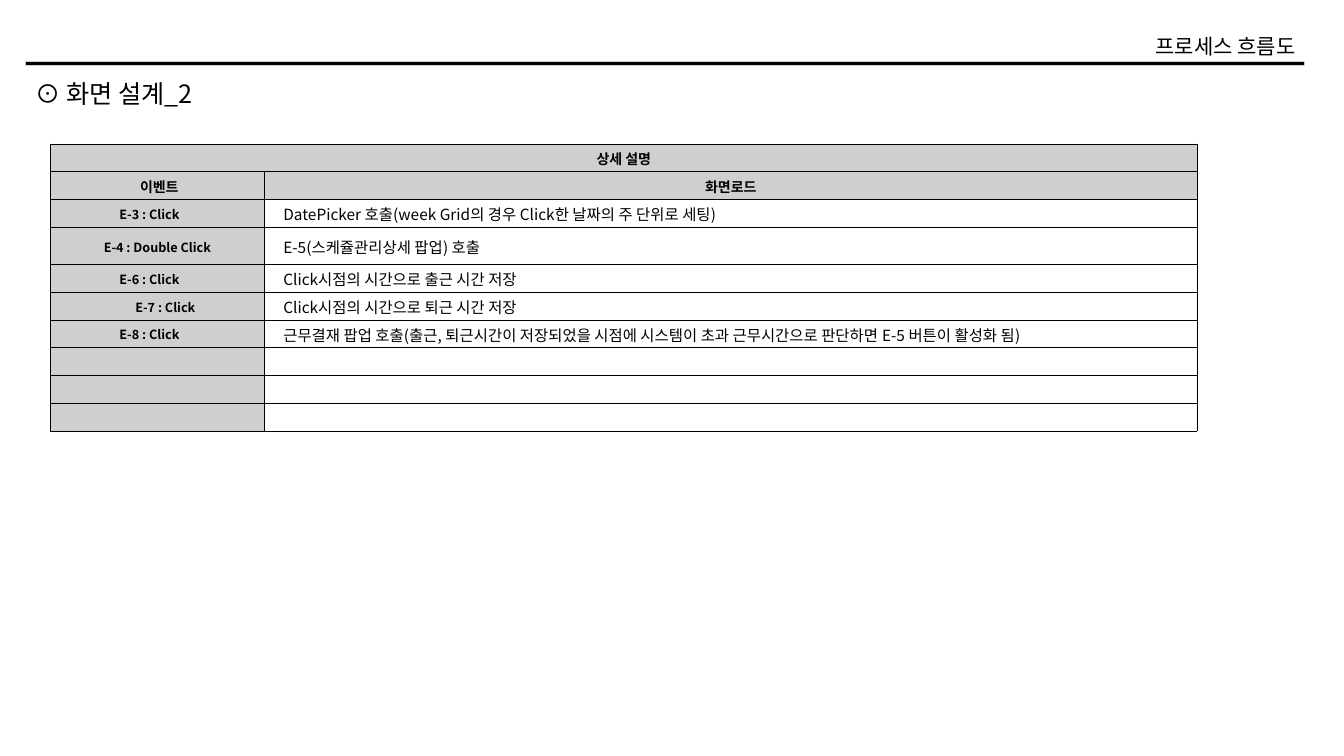
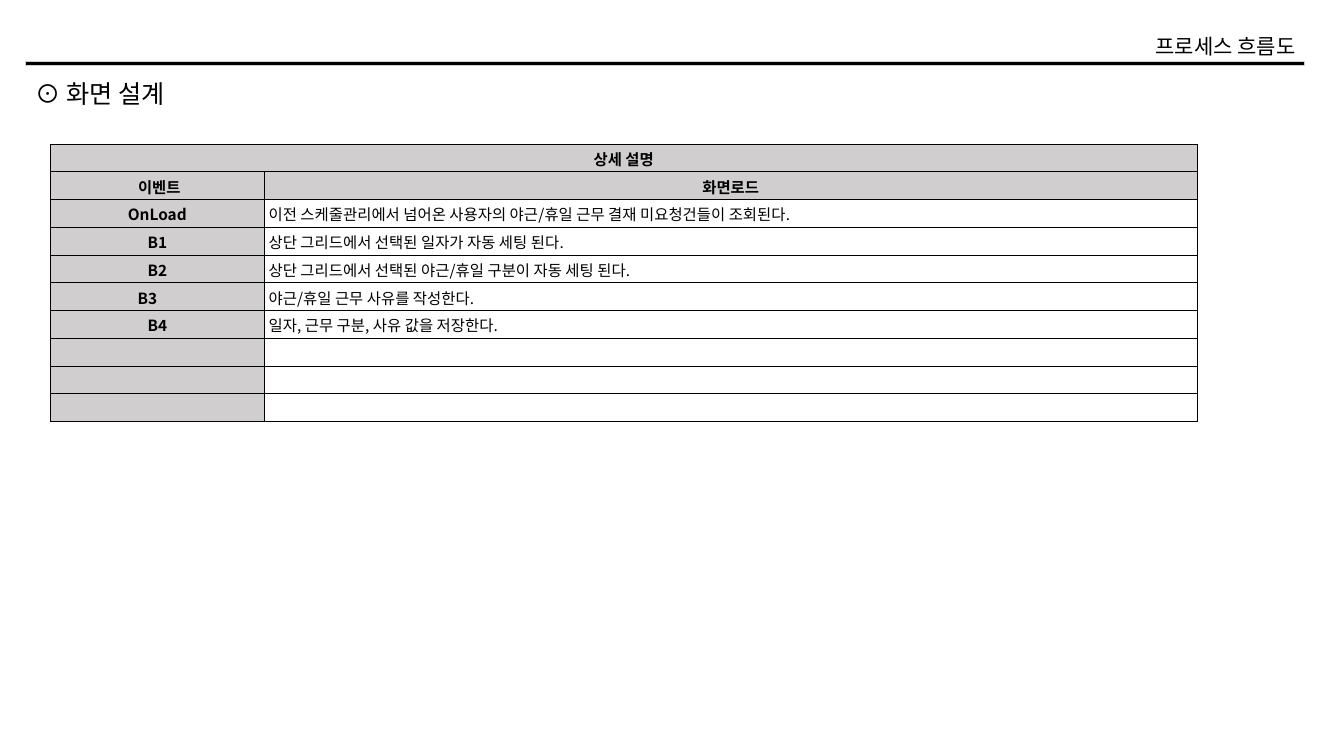
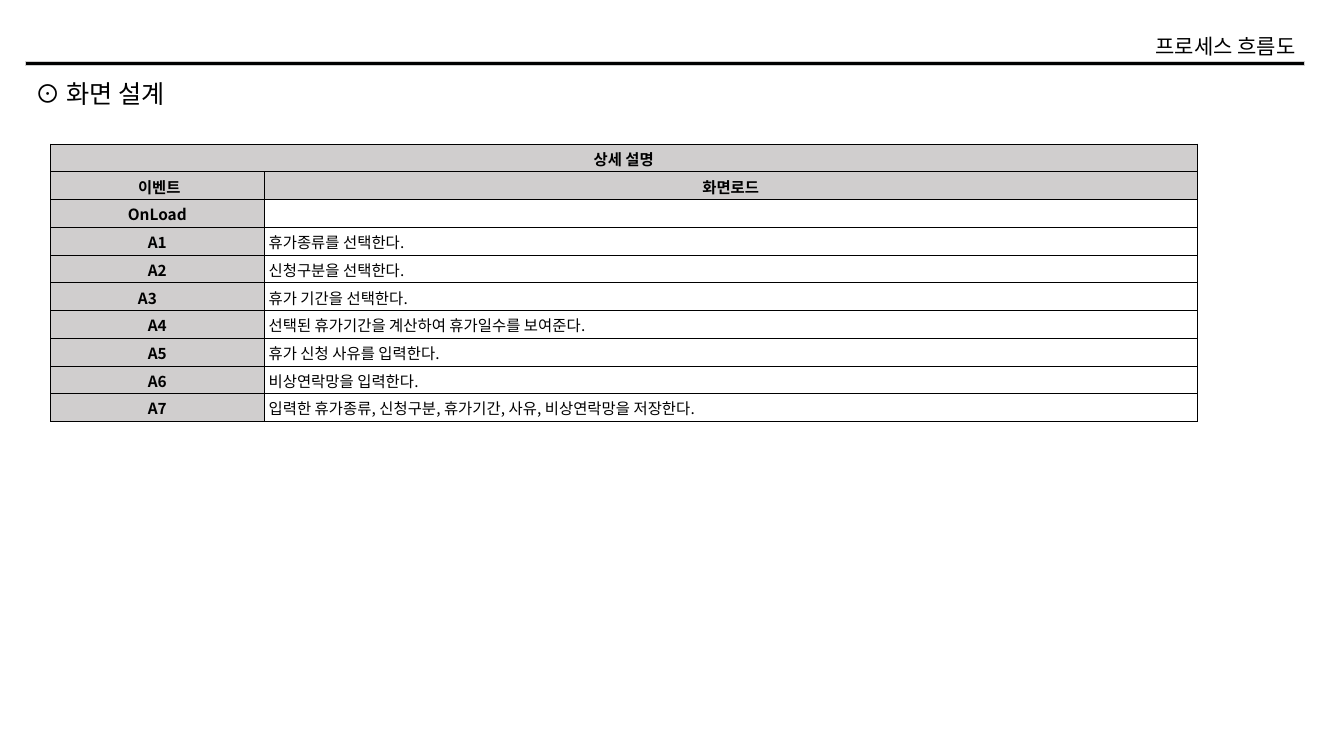
"""Builds three screen design slides, each with a table of events."""
import pptx
import pptx.util
import pptx.dml.color
import pptx.enum.shapes
import pptx.enum.text
import pptx.oxml.ns
import lxml.etree

Cm = pptx.util.Cm
Pt = pptx.util.Pt
qn = pptx.oxml.ns.qn
ALIGN = pptx.enum.text.PP_ALIGN
BLACK = pptx.dml.color.RGBColor(0x00, 0x00, 0x00)
WHITE = pptx.dml.color.RGBColor(0xFF, 0xFF, 0xFF)
GREY = pptx.dml.color.RGBColor(0xD0, 0xCE, 0xCE)
FONT = "Noto Sans CJK KR"
INSET = 0.03
ROW = 0.7
COLS = (5.39, 23.51)


class Deck:
    """Holds the style and the current slide."""

    def __init__(self):
        """Start an empty wide deck."""
        self.prs = pptx.Presentation()
        self.prs.slide_width = Cm(33.87)
        self.prs.slide_height = Cm(19.05)
        self.slide = None

    def page(self, title, width):
        """Add a slide with its header rule and titles."""
        self.slide = self.prs.slides.add_slide(self.prs.slide_layouts[6])
        self.rule(0.64, 1.55, 32.23, 0.1)
        self.label("프로세스 흐름도", 28.45, 0.71, 4.45, 0.89, 15, ALIGN.RIGHT)
        self.label(title, 0.64, 1.85, width, 1.02, 18, ALIGN.LEFT)

    def rule(self, left, top, width, height):
        """Draw the black header bar."""
        kind = pptx.enum.shapes.MSO_SHAPE.RECTANGLE
        bar = self.slide.shapes.add_shape(
            kind, Cm(left), Cm(top), Cm(width), Cm(height))
        bar.shadow.inherit = False
        bar.fill.solid()
        bar.fill.fore_color.rgb = BLACK
        bar.line.color.rgb = GREY
        bar.line.width = Pt(0.3)

    def label(self, text, left, top, width, height, size, align):
        """Add one line of text."""
        box = self.slide.shapes.add_textbox(
            Cm(left), Cm(top), Cm(width), Cm(height))
        frame = box.text_frame
        frame.word_wrap = False
        frame.auto_size = pptx.enum.text.MSO_AUTO_SIZE.SHAPE_TO_FIT_TEXT
        frame.text = text
        self.style(frame.paragraphs[0], size, False, align)

    def style(self, para, size, bold, align):
        """Format a paragraph and its runs."""
        para.alignment = align
        for run in para.runs:
            run.font.name = FONT
            run.font.size = Pt(size)
            run.font.bold = bold
            run.font.color.rgb = BLACK
            east = lxml.etree.SubElement(run.font._element, qn("a:ea"))
            east.set("typeface", FONT)
        if not para.runs:
            end = lxml.etree.SubElement(para._p, qn("a:endParaRPr"))
            end.set("sz", str(size * 100))

    def border(self, cell):
        """Draw thin black lines around a cell."""
        props = cell._tc.get_or_add_tcPr()
        for side in ("a:lnL", "a:lnR", "a:lnT", "a:lnB"):
            line = lxml.etree.SubElement(props, qn(side), w=str(Pt(0.5)))
            fill = lxml.etree.SubElement(line, qn("a:solidFill"))
            lxml.etree.SubElement(fill, qn("a:srgbClr"), val=str(BLACK))

    def cell(self, cell, text, size, head, shift=0):
        """Fill a cell; a shift moves its text right, or left if negative."""
        cell.margin_left = Cm(INSET + max(shift, 0))
        cell.margin_right = Cm(INSET + max(-shift, 0))
        cell.margin_top = Cm(INSET)
        cell.margin_bottom = 0
        cell.vertical_anchor = pptx.enum.text.MSO_ANCHOR.MIDDLE
        self.border(cell)
        cell.fill.solid()
        cell.fill.fore_color.rgb = GREY if head else WHITE
        cell.text_frame.text = text
        align = ALIGN.CENTER if head else ALIGN.LEFT
        self.style(cell.text_frame.paragraphs[0], size, head, align)

    def table(self, rows, head, event, pad, tall=None):
        """Add the event table under its two heading rows."""
        count = len(rows) + 2
        grid = self.slide.shapes.add_table(
            count, 2, Cm(1.27), Cm(3.63), Cm(sum(COLS)), Cm(ROW * count)).table
        grid.first_row = False
        grid.horz_banding = False
        for col, width in zip(grid.columns, COLS):
            col.width = Cm(width)
        for row in grid.rows:
            row.height = Cm(ROW)
        if tall:
            grid.rows[tall].height = Cm(0.94)
        self.cell(grid.cell(0, 0), "상세 설명", head, True)
        self.cell(grid.cell(0, 1), "", head, True)
        grid.cell(0, 0).merge(grid.cell(0, 1))
        self.cell(grid.cell(1, 0), "이벤트", head, True, 0.1)
        self.cell(grid.cell(1, 1), "화면로드", head, True)
        for num, (name, shift, text) in enumerate(rows, 2):
            self.cell(grid.cell(num, 0), name, event, True, shift)
            self.cell(grid.cell(num, 1), text, 11, False, pad)


BLANK = [("", 0, "")] * 3
CLICKS = [
    ("E-3 : Click", -0.4,
     "DatePicker 호출(week Grid의 경우 Click한 날짜의 주 단위로 세팅)"),
    ("E-4 : Double Click", 0, "E-5(스케쥴관리상세 팝업) 호출"),
    ("E-6 : Click", -0.4, "Click시점의 시간으로 출근 시간 저장"),
    ("E-7 : Click", 0.4, "Click시점의 시간으로 퇴근 시간 저장"),
    ("E-8 : Click", -0.4,
     "근무결재 팝업 호출(출근, 퇴근시간이 저장되었을 시점에 시스템이 "
     "초과 근무시간으로 판단하면 E-5 버튼이 활성화 됨)"),
]
WORK = [
    ("OnLoad", 0,
     "이전 스케줄관리에서 넘어온 사용자의 야근/휴일 근무 결재 "
     "미요청건들이 조회된다."),
    ("B1", 0, "상단 그리드에서 선택된 일자가 자동 세팅 된다."),
    ("B2", 0, "상단 그리드에서 선택된 야근/휴일 구분이 자동 세팅 된다."),
    ("B3", -0.5, "야근/휴일 근무 사유를 작성한다."),
    ("B4", 0, "일자, 근무 구분, 사유 값을 저장한다."),
]
LEAVE = [
    ("OnLoad", 0, ""),
    ("A1", 0, "휴가종류를 선택한다."),
    ("A2", 0, "신청구분을 선택한다."),
    ("A3", -0.5, "휴가 기간을 선택한다."),
    ("A4", 0, "선택된 휴가기간을 계산하여 휴가일수를 보여준다."),
    ("A5", 0, "휴가 신청 사유를 입력한다."),
    ("A6", 0, "비상연락망을 입력한다."),
    ("A7", 0, "입력한 휴가종류, 신청구분, 휴가기간, 사유, 비상연락망을 저장한다."),
]

deck = Deck()
deck.page("⊙ 화면 설계_2", 4.78)
deck.table(CLICKS + BLANK, head=10, event=9, pad=0.45, tall=3)
for rows in (WORK + BLANK, LEAVE):
    deck.page("⊙ 화면 설계", 4.14)
    deck.table(rows, head=11, event=11, pad=0.08)
deck.prs.save("out.pptx")
